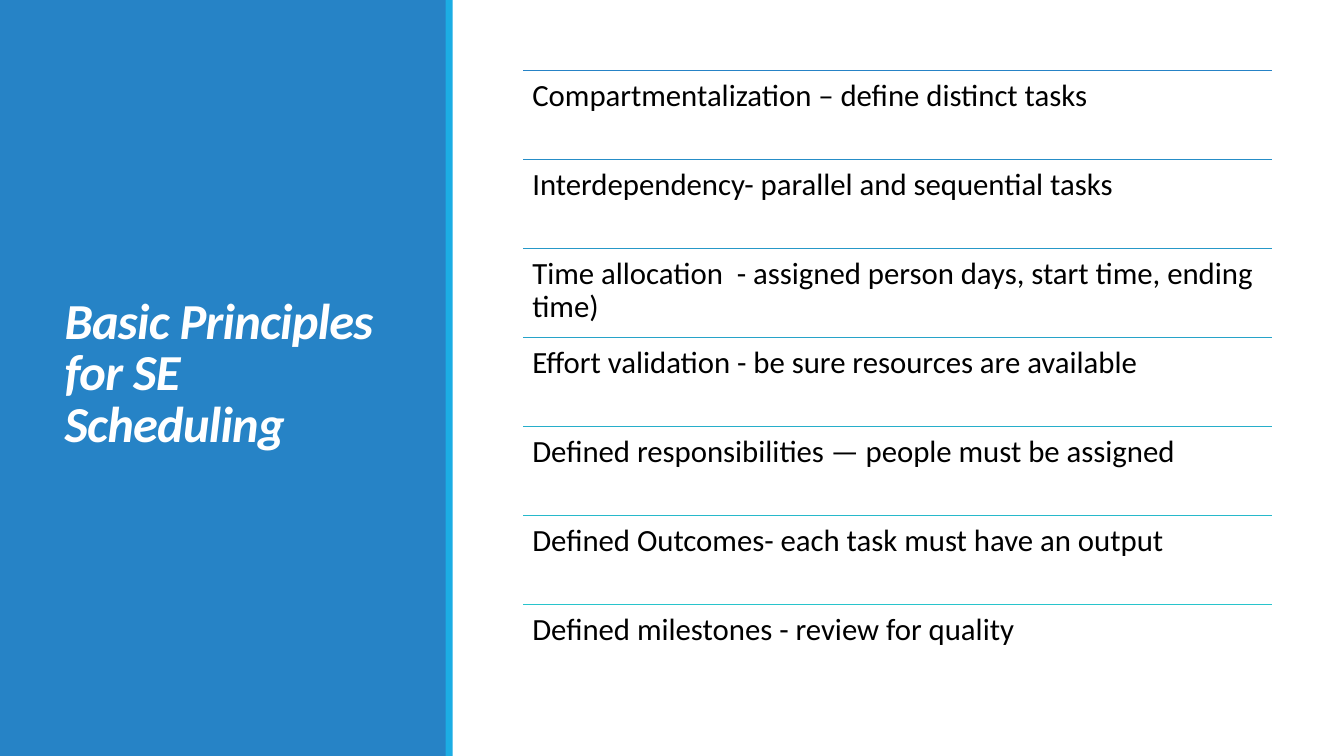
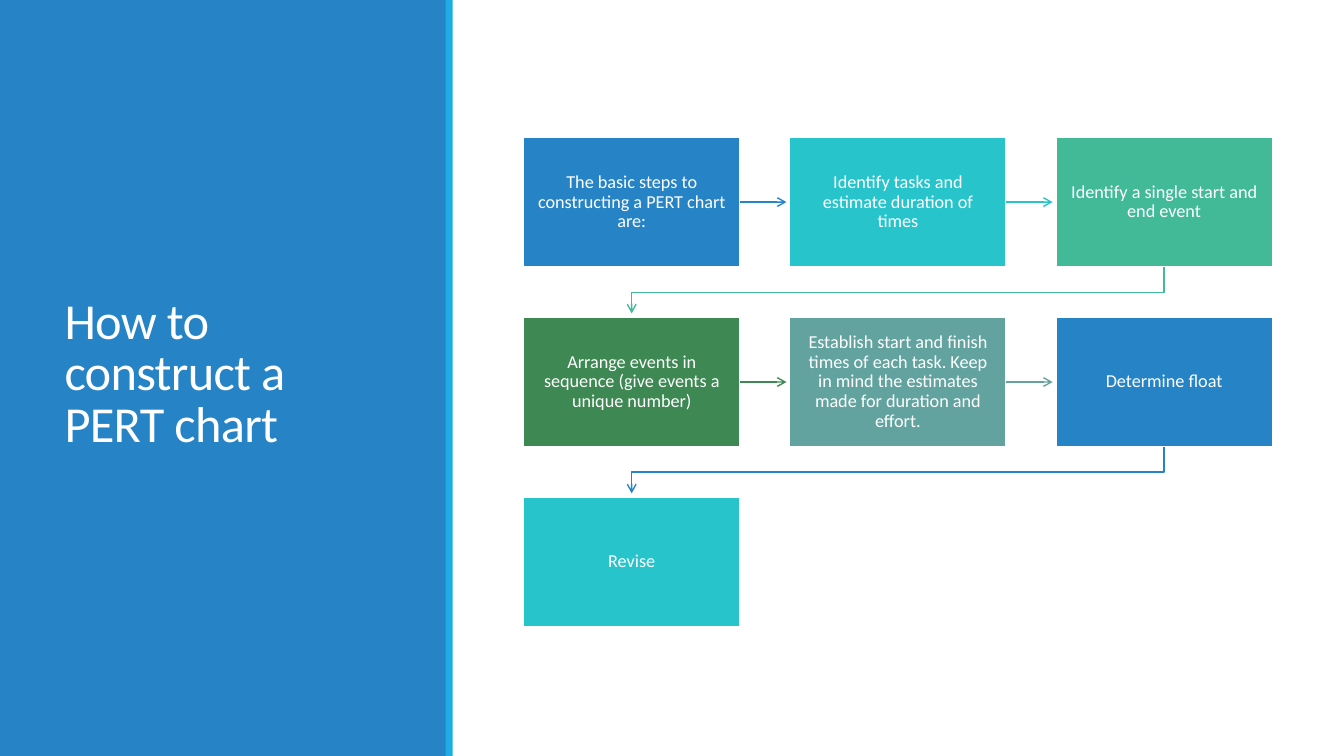
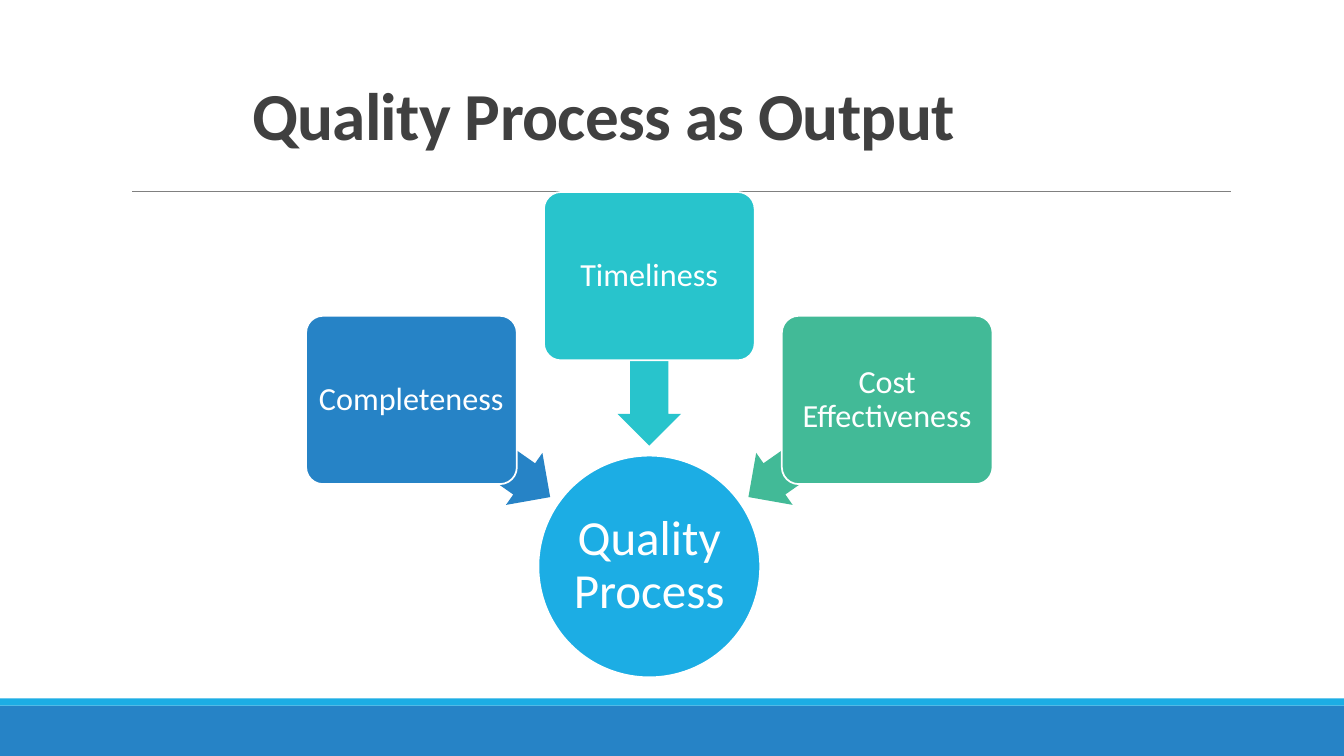
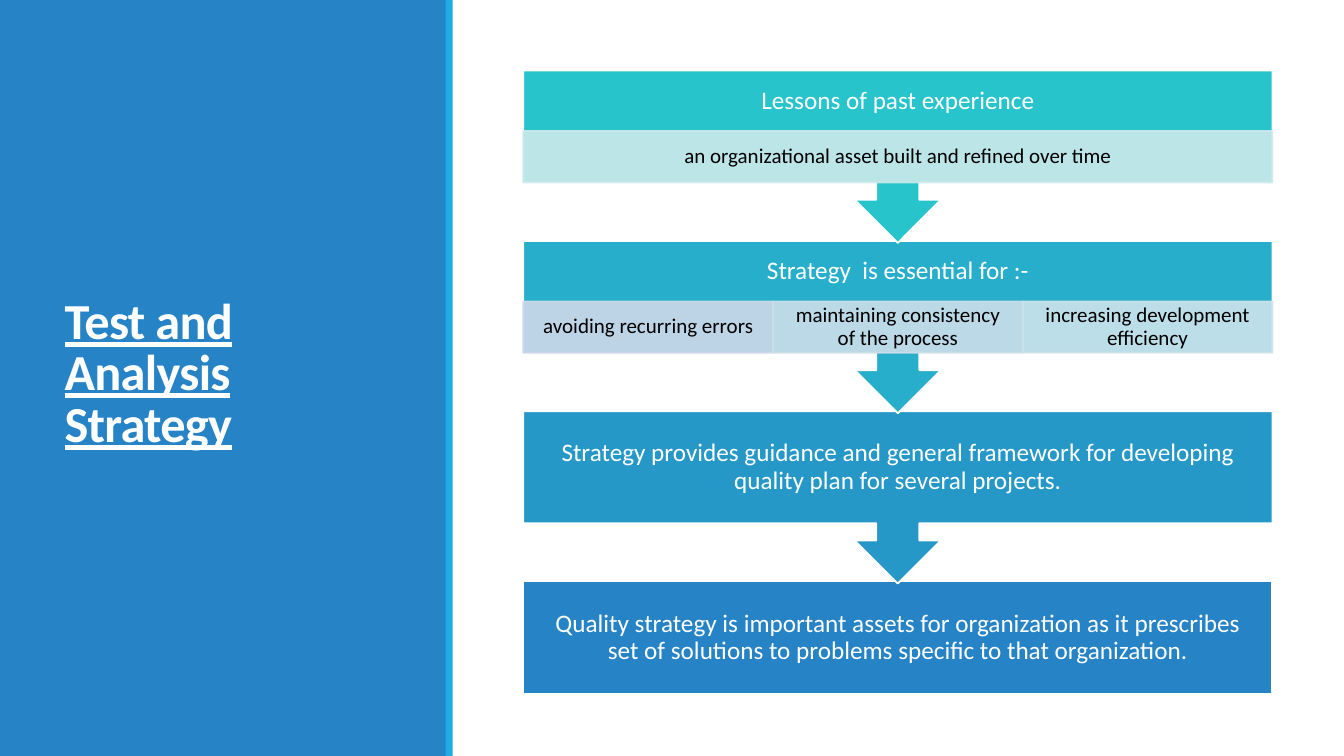
"""Build four slides on scheduling, PERT charts and quality strategy."""
from dataclasses import dataclass
from math import cos, radians, sin

from lxml import etree
from pptx import Presentation
from pptx.dml.color import RGBColor
from pptx.enum.shapes import MSO_CONNECTOR, MSO_SHAPE
from pptx.enum.text import MSO_ANCHOR, MSO_AUTO_SIZE, PP_ALIGN
from pptx.oxml.ns import qn
from pptx.util import Emu, Inches, Pt


@dataclass(frozen=True)
class Theme:
    font: str = "Calibri"
    blue: str = "2683C6"
    sky: str = "1CADE4"
    teal: str = "28C4CC"
    mint: str = "42BA97"
    green: str = "3E8853"
    sage: str = "62A39F"
    white: str = "FFFFFF"
    black: str = "000000"
    dark: str = "404040"
    gray: str = "808080"
    panel_title: int = 36
    page_title: int = 48
    principle: int = 22
    step: int = 13
    hub: int = 35
    factor: int = 23
    heading: int = 18
    detail: int = 15
    outline: float = 1.25


THEME = Theme()
WIDTH, HEIGHT = 13.33, 7.5
LEFT, TOP, AREA_WIDTH, AREA_HEIGHT = 5.19, 0.7, 7.43, 6.18

PRINCIPLES = [
    "Compartmentalization – define distinct tasks",
    "Interdependency- parallel and sequential tasks",
    "Time allocation  - assigned person days, start time, ending time)",
    "Effort validation - be sure resources are available",
    "Defined responsibilities — people must be assigned",
    "Defined Outcomes- each task must have an output",
    "Defined milestones - review for quality",
]
STEPS = [
    ("The basic steps to constructing a PERT chart are:", THEME.blue),
    ("Identify tasks and estimate duration of times", THEME.teal),
    ("Identify a single start and end event", THEME.mint),
    ("Arrange events in sequence (give events a unique number)", THEME.green),
    ("Establish start and finish times of each task. Keep in mind the "
     "estimates made for duration and effort.", THEME.sage),
    ("Determine float", THEME.blue),
    ("Revise", THEME.teal),
]
FACTORS = [
    ("Completeness", 215, THEME.blue),
    ("Timeliness", 270, THEME.teal),
    ("Cost Effectiveness", 325, THEME.mint),
]
STRATEGY = [
    ("Lessons of past experience",
     [("an organizational asset built and refined over time", "CDE9EC")]),
    ("Strategy  is essential for :-",
     [("avoiding recurring errors", "CDD9EA"),
      ("maintaining consistency of the process", "CDDEEB"),
      ("increasing development efficiency", "CDE4EC")]),
    ("Strategy provides guidance and general framework for developing "
     "quality plan for several projects.", []),
    ("Quality strategy is important assets for organization as it prescribes "
     "set of solutions to problems specific to that organization.", []),
]


def color(value):
    return RGBColor.from_string(value)


def blend(start, end, share):
    return str(RGBColor(*(int(a + (b - a) * share)
                          for a, b in zip(color(start), color(end)))))


def write(shape, content, size, ink, align=PP_ALIGN.CENTER,
          anchor=MSO_ANCHOR.MIDDLE, insets=(0.1, 0.05, 0.1, 0.05), spacing=0.9):
    frame = shape.text_frame
    frame.word_wrap = True
    frame.auto_size = MSO_AUTO_SIZE.NONE
    frame.vertical_anchor = anchor
    (frame.margin_left, frame.margin_top,
     frame.margin_right, frame.margin_bottom) = map(Inches, insets)
    frame.text = content
    paragraph = frame.paragraphs[0]
    paragraph.alignment = align
    paragraph.line_spacing = spacing
    paragraph.font.name = THEME.font
    paragraph.font.size = Pt(size)
    paragraph.font.color.rgb = color(ink)
    return paragraph


def add_block(slide, kind, box, fill, outline=None):
    shape = slide.shapes.add_shape(kind, *map(Inches, box))
    shape.shadow.inherit = False
    shape.fill.solid()
    shape.fill.fore_color.rgb = color(fill)
    if outline:
        shape.line.color.rgb = color(outline)
        shape.line.width = Pt(THEME.outline)
    else:
        shape.line.fill.background()
    return shape


def add_line(slide, start, end, ink, width):
    line = slide.shapes.add_connector(
        MSO_CONNECTOR.STRAIGHT, *map(Inches, (*start, *end)))
    line.line.color.rgb = color(ink)
    line.line.width = Pt(width)
    etree.SubElement(line.element.spPr, qn("a:effectLst"))
    return line


def add_arrowhead(shape):
    outline = shape.element.spPr.find(qn("a:ln"))
    etree.SubElement(outline, qn("a:tailEnd"), type="arrow")


def set_opacity(shape, percent):
    for node in shape.element.spPr.iter(qn("a:srgbClr")):
        etree.SubElement(node, qn("a:alpha"), val=str(percent * 1000))


def add_title(slide, content, box, size, ink, **layout):
    title = slide.shapes.title
    title.left, title.top, title.width, title.height = map(Inches, box)
    paragraph = write(title, content, size, ink, spacing=0.85, **layout)
    for run in paragraph.runs:
        run.font.element.set("spc", "-50") if hasattr(run.font, "element") \
            else run._r.get_or_add_rPr().set("spc", "-50")
    return paragraph.font


def new_slide(presentation):
    return presentation.slides.add_slide(presentation.slide_layouts[5])


def panel_slide(presentation, content):
    slide = new_slide(presentation)
    for box, fill in (((0, 0, 4.43, HEIGHT), THEME.blue),
                      ((4.42, 0, 0.07, HEIGHT), THEME.sky)):
        band = add_block(slide, MSO_SHAPE.RECTANGLE, box, fill)
        slide.shapes.title.element.addprevious(band.element)
    font = add_title(slide, content, (0.54, 0.57, 3.37, 6.31),
                     THEME.panel_title, THEME.white, align=PP_ALIGN.LEFT)
    return slide, font


def build_principles(presentation):
    slide, font = panel_slide(presentation, "Basic Principles for SE Scheduling")
    font.bold = font.italic = True
    pitch = AREA_HEIGHT / len(PRINCIPLES)
    for index, principle in enumerate(PRINCIPLES):
        top = TOP + index * pitch
        ink = blend(THEME.blue, THEME.teal, index / (len(PRINCIPLES) - 1))
        add_line(slide, (LEFT, top), (LEFT + AREA_WIDTH, top), ink, THEME.outline)
        box = slide.shapes.add_textbox(
            *map(Inches, (LEFT, top, AREA_WIDTH, pitch)))
        write(box, principle, THEME.principle, THEME.black, PP_ALIGN.LEFT,
              MSO_ANCHOR.TOP, (0.09,) * 4)


def build_steps(presentation):
    slide, _ = panel_slide(presentation, "How to construct a PERT chart")
    columns, width, height = 3, 2.15, 1.29
    column_pitch, row_pitch, first_top, reach = 2.64, 1.785, 1.36, 0.46
    for index, (step, fill) in enumerate(STEPS):
        row, column = divmod(index, columns)
        left, top = LEFT + column * column_pitch, first_top + row * row_pitch
        box = add_block(slide, MSO_SHAPE.RECTANGLE, (left, top, width, height),
                        fill, THEME.white)
        write(box, step, THEME.step, THEME.white, insets=(0.11,) * 4)
        if index == len(STEPS) - 1:
            continue
        if column < columns - 1:
            right, middle = left + width, top + height / 2
            arrow = add_line(slide, (right, middle), (right + reach, middle),
                             fill, 1)
            arrow.begin_connect(box, 3)
        else:
            center, bottom = left + width / 2, top + height
            target = LEFT + width / 2
            points = [(center, bottom), (center, bottom + 0.25),
                      (target, bottom + 0.25), (target, bottom + reach)]
            points = [tuple(map(Inches, point)) for point in points]
            builder = slide.shapes.build_freeform(*points[0])
            builder.add_line_segments(points[1:], close=False)
            arrow = builder.convert_to_shape()
            arrow.shadow.inherit = False
            arrow.fill.background()
            arrow.line.color.rgb = color(fill)
            arrow.line.width = Pt(1)
        add_arrowhead(arrow)


def build_quality(presentation):
    slide = new_slide(presentation)
    add_block(slide, MSO_SHAPE.RECTANGLE, (0, 7, WIDTH, 0.5), THEME.blue)
    add_block(slide, MSO_SHAPE.RECTANGLE, (0, 6.93, WIDTH, 0.07), THEME.sky)
    add_line(slide, (1.31, 1.9), (12.21, 1.9), THEME.gray, 0.5)
    font = add_title(slide, "Quality Process as Output", (1.32, 0.91, 9.33, 0.67),
                     THEME.page_title, THEME.dark, anchor=MSO_ANCHOR.BOTTOM)
    font.bold = True

    hub_x, hub_y, diameter = 6.44, 5.62, 2.2

    def around_hub(angle, radius, width, height):
        return (hub_x + radius * cos(radians(angle)) - width / 2,
                hub_y + radius * sin(radians(angle)) - height / 2, width, height)

    hub = add_block(slide, MSO_SHAPE.OVAL, around_hub(0, 0, diameter, diameter),
                    THEME.sky, THEME.white)
    write(hub, "Quality Process", THEME.hub, THEME.white, insets=(0.02,) * 4)
    for factor, angle, fill in FACTORS:
        arrow = add_block(slide, MSO_SHAPE.LEFT_ARROW,
                          around_hub(angle, 2.04, 1.68, 0.63), fill)
        arrow.adjustments[0], arrow.adjustments[1] = 0.6, 0.5
        arrow.rotation = angle
        box = add_block(slide, MSO_SHAPE.ROUNDED_RECTANGLE,
                        around_hub(angle, 2.88, 2.09, 1.67), fill, THEME.white)
        box.adjustments[0] = 0.1
        write(box, factor, THEME.factor, THEME.white, insets=(0.05,) * 4)


def build_strategy(presentation):
    slide, font = panel_slide(presentation, "Test and Analysis Strategy")
    font.bold = font.underline = True
    pitch, body, callout, heading, detail = 1.69, 1.11, 1.71, 0.6, 0.51
    last = len(STRATEGY) - 1
    for index, (statement, details) in reversed(list(enumerate(STRATEGY))):
        top = TOP + index * pitch
        kind, height = ((MSO_SHAPE.RECTANGLE, body) if index == last
                        else (MSO_SHAPE.DOWN_ARROW_CALLOUT, callout))
        block = add_block(slide, kind, (LEFT, top, AREA_WIDTH, height),
                          blend(THEME.teal, THEME.blue, index / last), THEME.white)
        below = 0.14 + (detail if details else 0)
        write(block, statement, THEME.heading, THEME.white,
              insets=(0.14, 0.14, 0.14, below))
        for position, (content, fill) in enumerate(details):
            width = AREA_WIDTH / len(details)
            box = add_block(slide, MSO_SHAPE.RECTANGLE,
                            (LEFT + position * width, top + heading, width, detail),
                            fill, fill)
            set_opacity(box, 90)
            write(box, content, THEME.detail, THEME.black,
                  insets=(0.12, 0.02, 0.12, 0.02))


def main():
    presentation = Presentation()
    presentation.slide_width = Emu(Inches(WIDTH))
    presentation.slide_height = Inches(HEIGHT)
    for build in (build_principles, build_steps, build_quality, build_strategy):
        build(presentation)
    presentation.save("out.pptx")


if __name__ == "__main__":
    main()
